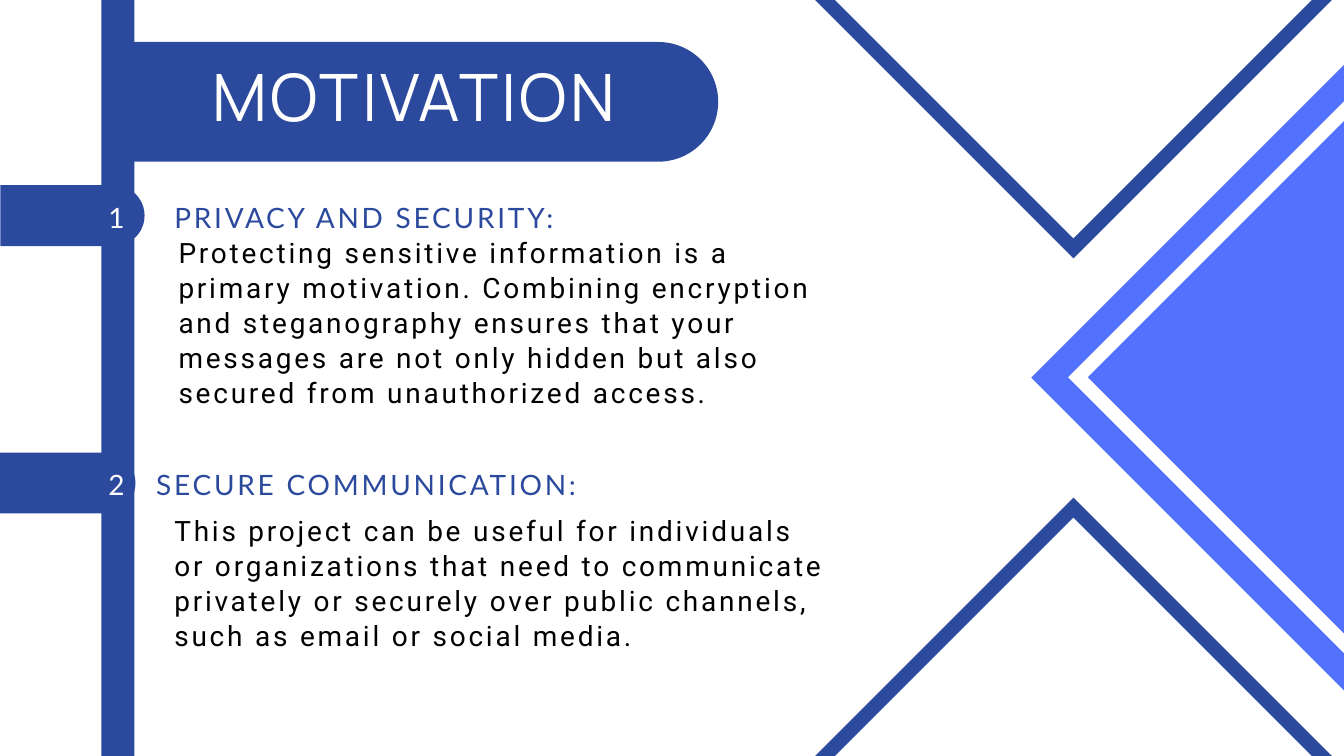
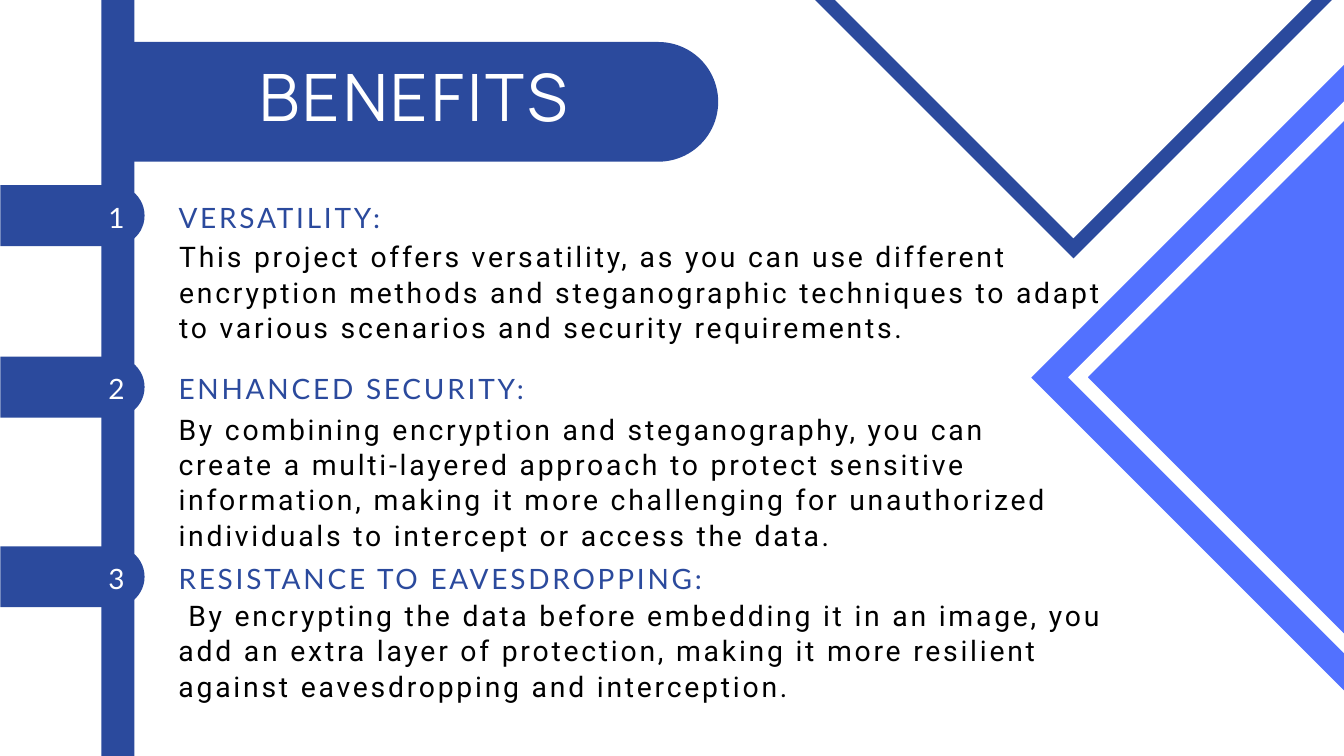
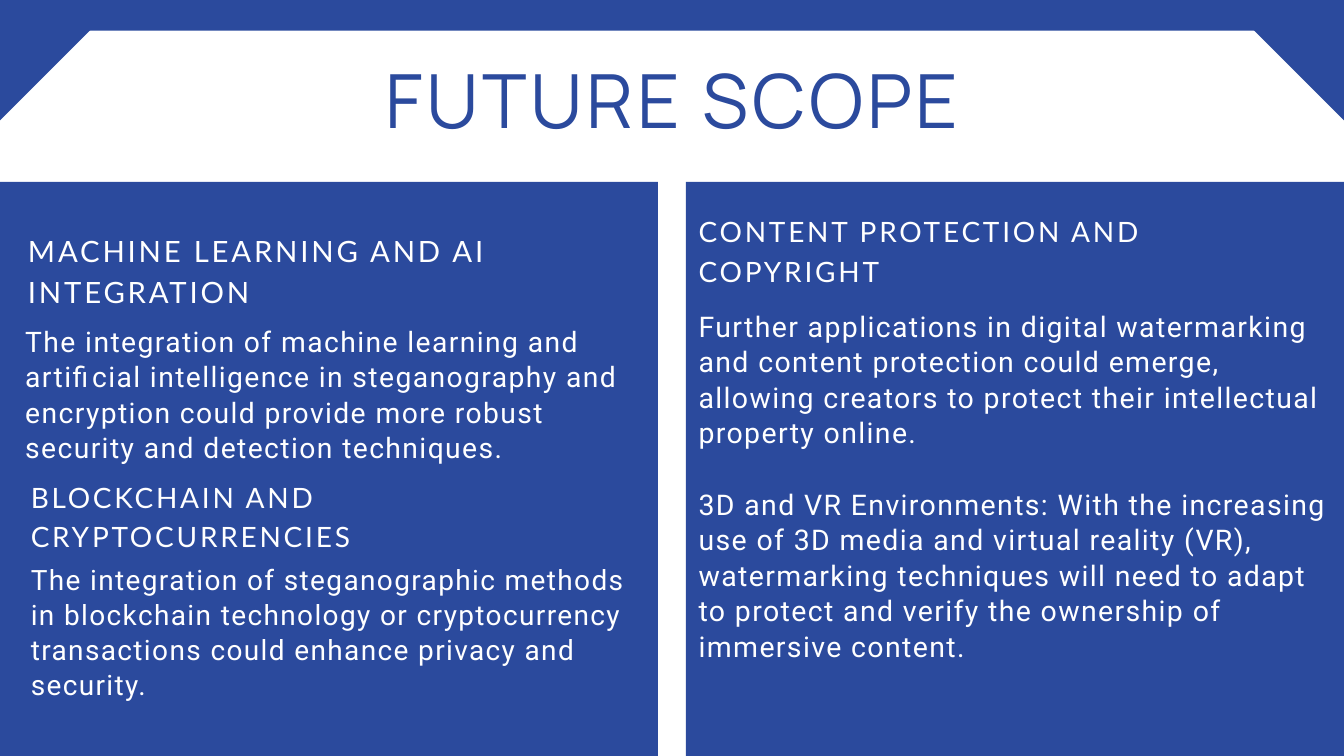
from dataclasses import dataclass, replace

from pptx import Presentation
from pptx.dml.color import RGBColor
from pptx.enum.shapes import MSO_SHAPE as SHAPE
from pptx.enum.text import MSO_ANCHOR as ANCHOR, MSO_AUTO_SIZE as AUTO, PP_ALIGN as ALIGN
from pptx.util import Emu, Pt

PX = 9525
BLACK, WHITE, NAVY, BLUE = "000000", "FFFFFF", "2B4A9D", "5271FF"


@dataclass(frozen=True)
class Type:
    font: str
    size: float
    color: str
    spacing: float
    leading: float
    align: int = ALIGN.LEFT


@dataclass(frozen=True)
class Theme:
    title: Type = Type("Manrope", 70, WHITE, 3.5, 1.05, ALIGN.CENTER)
    banner: Type = Type("Manrope", 80, NAVY, 4, 1.05, ALIGN.CENTER)
    number: Type = Type("Lato", 30, WHITE, 3, 1.4, ALIGN.CENTER)
    heading: Type = Type("Lato", 30, NAVY, 3, 1.4)
    body: Type = Type("Roboto", 30, BLACK, 3, 1.25)
    panel_heading: Type = Type("Lato", 30, WHITE, 3, 1.4)
    panel_body: Type = Type("Roboto", 30, WHITE, 1.5, 1.25)


def add_block(s, kind, box, color, rotation=0, adjustments=()):
    sp = s.shapes.add_shape(kind, *(Emu(v * PX) for v in box))
    sp.shadow.inherit = False
    sp.fill.solid()
    sp.fill.fore_color.rgb = RGBColor.from_string(color)
    sp.line.fill.background()
    sp.rotation = rotation
    for i, value in enumerate(adjustments):
        sp.adjustments[i] = value


def write(s, box, text, style, sp=None):
    left, top, width, height = (Emu(v * PX) for v in box)
    if sp is None:
        sp = s.shapes.add_textbox(left, top, width, height)
    else:
        sp.left, sp.top, sp.width, sp.height = left, top, width, height
        sp.element.getparent().append(sp.element)
    tf = sp.text_frame
    tf.text = text
    tf.word_wrap = True
    tf.auto_size = AUTO.NONE
    tf.vertical_anchor = ANCHOR.TOP
    tf.margin_left = tf.margin_top = tf.margin_right = tf.margin_bottom = 0
    for i, p in enumerate(tf.paragraphs):
        p.alignment = style.align
        p.line_spacing = Pt(style.size * style.leading)
        p.space_before = Pt(style.size * style.leading if i else 0)
        for r in p.runs:
            r.font.name = style.font
            r.font.size = Pt(style.size)
            r.font.color.rgb = RGBColor.from_string(style.color)
            r._r.get_or_add_rPr().set("spc", str(round(style.spacing * 100)))
    return tf


theme = Theme()
prs = Presentation()
prs.slide_width, prs.slide_height = Emu(1920 * PX), Emu(1080 * PX)
title_only = prs.slide_layouts[5]

motivation = [
    (60, 249, 278, "PRIVACY AND SECURITY:", (255, 335, 937, 250),
     "Protecting sensitive information is a primary motivation. Combining encryption and "
     "steganography ensures that your messages are not only hidden but also secured from "
     "unauthorized access."),
    (47, 223, 660, "SECURE COMMUNICATION:", (249, 732, 937, 250),
     "This project can be useful for individuals or organizations that need to communicate "
     "privately or securely over public channels, such as email or social media."),
]
benefits = [
    (60, 255, 278, "VERSATILITY:", (256, 340, 1356, 150),
     "This project offers versatility, as you can use different encryption methods and "
     "steganographic techniques to adapt to various scenarios and security requirements."),
    (60, 255, 523, "ENHANCED SECURITY:", (255, 586, 1271, 200),
     "By combining encryption and steganography, you can create a multi-layered approach to "
     "protect sensitive information, making it more challenging for unauthorized individuals "
     "to intercept or access the data."),
    (60, 255, 794, "RESISTANCE TO EAVESDROPPING:", (255, 852, 1356, 150),
     "By encrypting the data before embedding it in an image, you add an extra layer of "
     "protection, making it more resilient against eavesdropping and interception."),
]
numbered_slides = [
    ("MOTIVATION", motivation, theme.body, (845, -412)),
    ("BENEFITS", benefits, replace(theme.body, size=30.4), (-412,)),
]

for title, sections, body_style, chevron_tops in numbered_slides:
    s = prs.slides.add_slide(title_only)
    add_block(s, SHAPE.RECTANGLE, (145, 0, 47, 1080), NAVY)
    add_block(s, SHAPE.RECTANGLE, (1616, 195, 689, 689), BLUE, 45)
    add_block(s, SHAPE.FRAME, (1653, 232, 614, 614), WHITE, 45, [0.032])
    for top in chevron_tops:
        add_block(s, SHAPE.FRAME, (1210, top, 647, 647), NAVY, 45, [0.031])
    add_block(s, SHAPE.ROUND_2_SAME_RECTANGLE, (523, -272, 171, 835), NAVY, 90, [0.5, 0])
    for number, (tab_x, x, y, heading, body_box, body) in enumerate(sections, 1):
        add_block(s, SHAPE.ROUND_2_SAME_RECTANGLE, (tab_x, y - 73, 87, 206), NAVY, 90, [0.5, 0])
        write(s, (141, y, 51, 55), str(number), theme.number)
        write(s, (x, y, 937, 55), heading, theme.heading)
        tf = write(s, body_box, body, body_style)
        if heading.startswith("RESISTANCE"):
            tf.paragraphs[0]._p.get_or_add_pPr().set("indent", str(14 * PX))
    write(s, (223, 94, 737, 107), title, theme.title, s.shapes.title)

s = prs.slides.add_slide(title_only)
for left in (980, 0):
    add_block(s, SHAPE.RECTANGLE, (left, 260, 940, 820), NAVY)
add_block(s, SHAPE.RECTANGLE, (0, 0, 1920, 44), NAVY)
for left, rotation in ((0, 90), (1748, 180)):
    add_block(s, SHAPE.RIGHT_TRIANGLE, (left, 0, 172, 172), NAVY, rotation)

panels = [
    ((40, 325, 900, 116), "MACHINE LEARNING AND AI INTEGRATION", 31.4, (36, 461, 868, 202), 30.3,
     "The integration of machine learning and artificial intelligence in steganography and "
     "encryption could provide more robust security and detection techniques."),
    ((44, 678, 859, 111), "BLOCKCHAIN AND CRYPTOCURRENCIES", 30, (44, 802, 859, 200), 30,
     "The integration of steganographic methods in blockchain technology or cryptocurrency "
     "transactions could enhance privacy and security."),
    ((998, 299, 859, 111), "CONTENT PROTECTION AND COPYRIGHT", 30, (998, 439, 903, 550), 30.5,
     "Further applications in digital watermarking and content protection could emerge, "
     "allowing creators to protect their intellectual property online.\n"
     "3D and VR Environments: With the increasing use of 3D media and virtual reality (VR), "
     "watermarking techniques will need to adapt to protect and verify the ownership of "
     "immersive content."),
]
for heading_box, heading, heading_size, body_box, body_size, body in panels:
    write(s, heading_box, heading, replace(theme.panel_heading, size=heading_size))
    write(s, body_box, body, replace(theme.panel_body, size=body_size))
write(s, (156, 93, 1609, 125), "FUTURE SCOPE", theme.banner, s.shapes.title)

prs.save("out.pptx")
